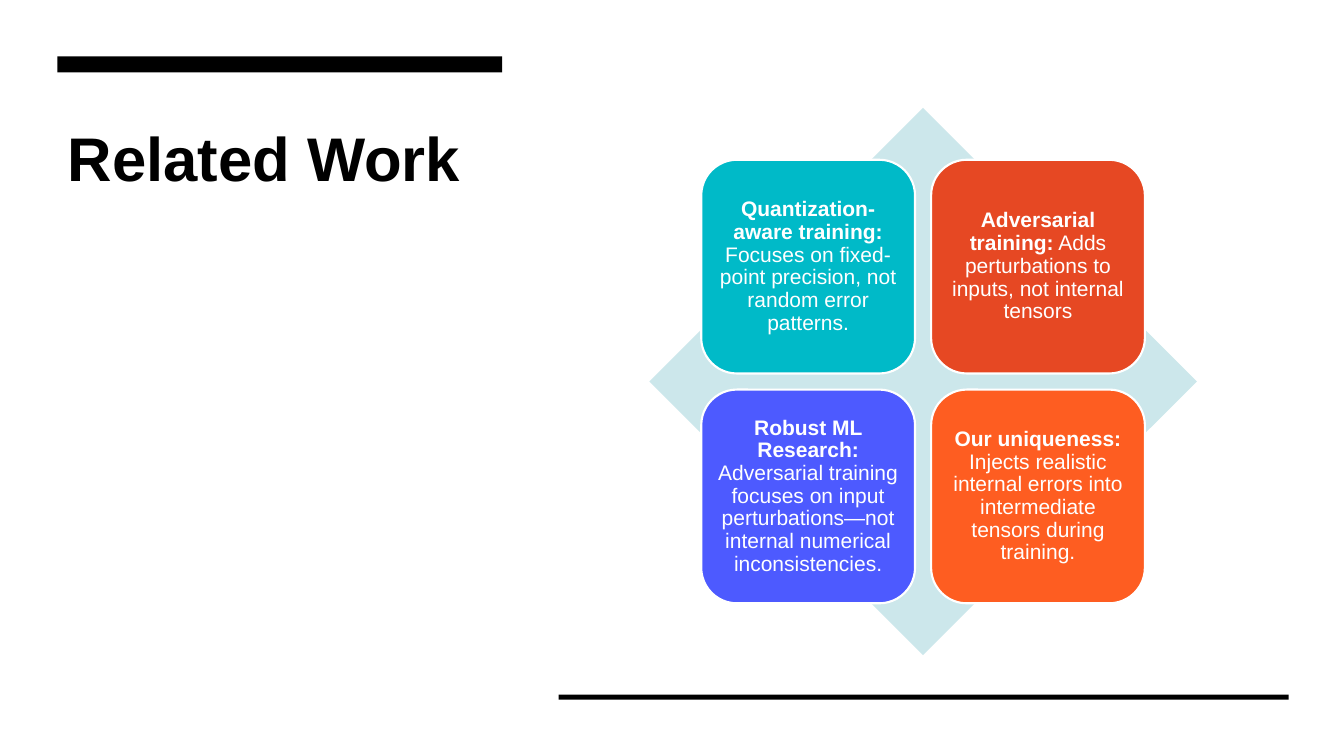
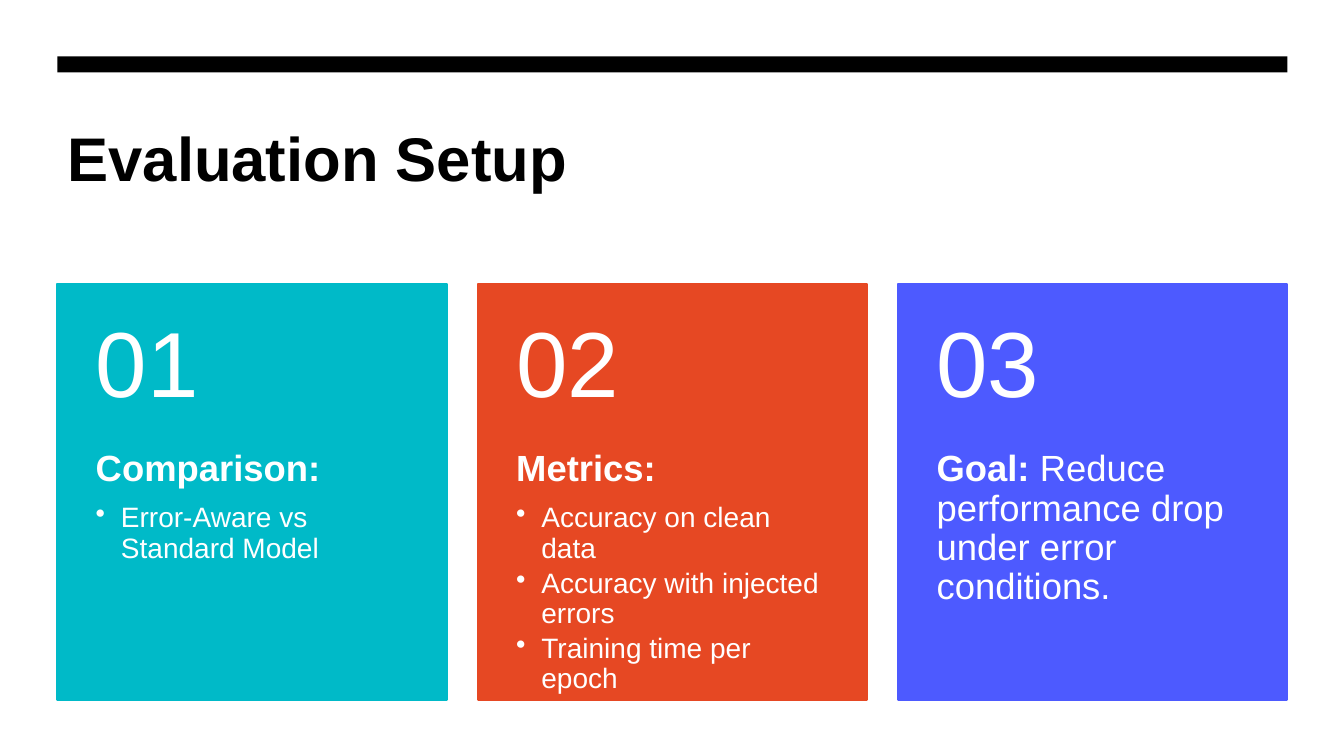
from lxml import etree
from pptx import Presentation
from pptx import util as u
from pptx.dml.color import RGBColor
from pptx.enum import shapes, text

FONT = "Arial"
BLACK, WHITE, PALE = "000000", "FFFFFF", "CCE7EB"
TEAL, RED, BLUE, ORANGE = "00BAC8", "E64823", "4D5AFF", "FE5D21"

WIDTH, HEIGHT = 13.33, 7.5
LEFT, CONTENT = 0.57, 12.2
BAND_TOP, BAND_HEIGHT = 0.56, 0.16
TITLE_TOP = 1.07
COLUMNS, GUTTER = 3, 0.31
COLUMN = (CONTENT - (COLUMNS - 1) * GUTTER) / COLUMNS

TILES = [
    (TEAL, "Quantization-aware training:",
     " Focuses on fixed-point precision, not random error patterns."),
    (RED, "Adversarial training:",
     " Adds perturbations to inputs, not internal tensors"),
    (BLUE, "Robust ML Research:",
     " Adversarial training focuses on input perturbations—not internal "
     "numerical inconsistencies."),
    (ORANGE, "Our uniqueness:",
     " Injects realistic internal errors into intermediate tensors during training."),
]

CARDS = [
    (TEAL, "Comparison:", "", ["Error-Aware vs Standard Model"]),
    (RED, "Metrics:", "", ["Accuracy on clean data", "Accuracy with injected errors",
                           "Training time per epoch"]),
    (BLUE, "Goal:", " Reduce performance drop under error conditions.", []),
]


def color(value):
    return RGBColor.from_string(value)


def inches(*lengths):
    return [u.Inches(length) for length in lengths]


def add_block(page, kind, place, fill, line=None):
    block = page.shapes.add_shape(kind, *inches(*place))
    block.shadow.inherit = False
    block.fill.solid()
    block.fill.fore_color.rgb = color(fill)
    if line:
        block.line.color.rgb = color(line)
        block.line.width = u.Pt(1.5)
    else:
        block.line.fill.background()
    return block


def set_frame(frame, insets, anchor):
    frame.word_wrap = True
    frame.auto_size = text.MSO_AUTO_SIZE.NONE
    frame.vertical_anchor = anchor
    (frame.margin_left, frame.margin_top,
     frame.margin_right, frame.margin_bottom) = inches(*insets)


def add_span(para, words, size, bold=False, tint=WHITE):
    span = para.add_run()
    span.text = words
    span.font.name = FONT
    span.font.size = u.Pt(size)
    span.font.bold = bold
    span.font.color.rgb = color(tint)


def set_para(para, after, align=text.PP_ALIGN.LEFT):
    para.alignment = align
    para.line_spacing = 0.9
    para.space_after = u.Pt(after)


def add_bullet(frame, words):
    para = frame.add_paragraph()
    set_para(para, 3.5)
    properties = para._p.get_or_add_pPr()
    properties.set("marL", str(u.Inches(0.25)))
    properties.set("indent", str(-u.Inches(0.25)))
    namespace = "{http://schemas.openxmlformats.org/drawingml/2006/main}"
    etree.SubElement(properties, namespace + "buChar").set("char", "•")
    add_span(para, words, 20)


def add_textbox(page, place, insets, anchor):
    box = page.shapes.add_textbox(*inches(*place))
    set_frame(box.text_frame, insets, anchor)
    return box.text_frame


def add_page(deck, title, width, height):
    page = deck.slides.add_slide(deck.slide_layouts[5])
    page.background.fill.solid()
    page.background.fill.fore_color.rgb = color(WHITE)
    box = page.shapes.title
    box.left, box.top, box.width, box.height = inches(LEFT, TITLE_TOP, width, height)
    set_frame(box.text_frame, (0.1, 0.12, 0.1, 0.05), text.MSO_ANCHOR.TOP)
    para = box.text_frame.paragraphs[0]
    para.alignment = text.PP_ALIGN.LEFT
    add_span(para, title, 44, True, BLACK)
    add_block(page, shapes.MSO_SHAPE.RECTANGLE,
              (LEFT, BAND_TOP, width, BAND_HEIGHT), BLACK)
    return page


def add_tile(page, place, fill, heading, words):
    tile = add_block(page, shapes.MSO_SHAPE.ROUNDED_RECTANGLE, place, fill, WHITE)
    set_frame(tile.text_frame, [0.06] * 4, text.MSO_ANCHOR.MIDDLE)
    para = tile.text_frame.paragraphs[0]
    set_para(para, 5, text.PP_ALIGN.CENTER)
    add_span(para, heading, 15, True)
    add_span(para, words, 15)


def add_matrix(page, left, top, side):
    tile, gap = 2.12, 0.16
    margin = (side - 2 * tile - gap) / 2
    add_block(page, shapes.MSO_SHAPE.DIAMOND, (left, top, side, side), PALE)
    for index, content in enumerate(TILES):
        row, column = divmod(index, 2)
        place = (left + margin + column * (tile + gap),
                 top + margin + row * (tile + gap), tile, tile)
        add_tile(page, place, *content)


def add_card(page, index, fill, heading, words, bullets):
    left, top, height = LEFT + index * (COLUMN + GUTTER), 2.82, 4.12
    head = height * 0.4
    add_block(page, shapes.MSO_SHAPE.RECTANGLE, (left, top, COLUMN, height), fill, fill)

    body = add_textbox(page, (left, top + head, COLUMN, height - head),
                       (0.38, 0, 0.38, 0.36), text.MSO_ANCHOR.TOP)
    para = body.paragraphs[0]
    set_para(para, 10)
    add_span(para, heading, 26, True)
    if words:
        add_span(para, words, 26)
    for bullet in bullets:
        add_bullet(body, bullet)

    number = add_textbox(page, (left, top, COLUMN, head),
                         (0.38, 0.18, 0.38, 0.18), text.MSO_ANCHOR.MIDDLE)
    para = number.paragraphs[0]
    set_para(para, 23)
    add_span(para, f"{index + 1:02}", 66)


def main():
    deck = Presentation()
    deck.slide_width, deck.slide_height = inches(WIDTH, HEIGHT)

    related = add_page(deck, "Related Work", 4.41, 3.68)
    add_block(related, shapes.MSO_SHAPE.RECTANGLE, (5.54, 6.89, 7.24, 0.05), BLACK)
    add_matrix(related, 6.44, TITLE_TOP, 5.43)

    evaluation = add_page(deck, "Evaluation Setup", CONTENT, 1.6)
    for index, content in enumerate(CARDS):
        add_card(evaluation, index, *content)

    deck.save("out.pptx")


if __name__ == "__main__":
    main()
